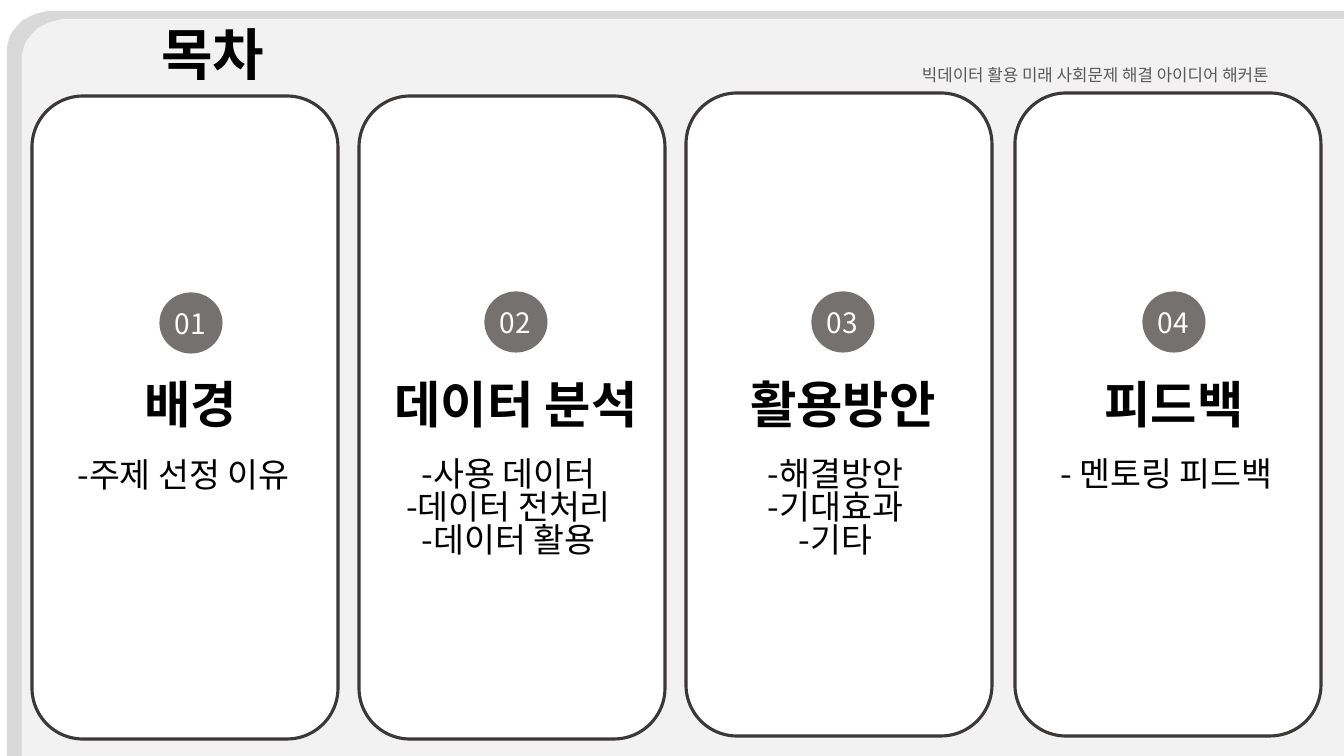
import math
from dataclasses import dataclass

import pptx
import pptx.dml.color
import pptx.enum.shapes
import pptx.enum.text
import pptx.oxml.ns
import pptx.util

WIDTH, HEIGHT = 1344, 756
EMU_PER_PX = 12192000 / WIDTH
ALIGN = pptx.enum.text.PP_ALIGN
SHAPES = pptx.enum.shapes.MSO_SHAPE


@dataclass(frozen=True)
class Theme:
    font: str = "Noto Sans CJK KR"
    black: str = "000000"
    white: str = "FFFFFF"
    caption: str = "595959"
    frame_edge: str = "D9D9D9"
    frame_fill: str = "F2F2F2"
    panel_line: str = "3B3838"
    badge: str = "767171"
    title_size: int = 40
    heading_size: int = 36
    list_size: int = 24
    number_size: int = 20
    caption_size: int = 12
    line_width: float = 2.25
    line_spacing: float = 0.82


def px(length):
    return pptx.util.Emu(round(length * EMU_PER_PX))


def rgb(value):
    return pptx.dml.color.RGBColor.from_string(value)


class AgendaSlide:
    """Draws the elements of an agenda slide in one theme."""

    def __init__(self, slide, theme):
        self.slide = slide
        self.theme = theme

    def paint(self, shape, fill, line=None):
        shape.shadow.inherit = False
        shape.fill.solid()
        shape.fill.fore_color.rgb = rgb(fill)
        if line:
            shape.line.color.rgb = rgb(line)
            shape.line.width = pptx.util.Pt(self.theme.line_width)
        else:
            shape.line.fill.background()

    def frame(self, left, top, radius_x, radius_y, fill):
        steps = 16
        angles = [math.pi / 2 * step / steps for step in range(steps + 1)]
        corner = [(left + radius_x * (1 - math.cos(angle)),
                   top + radius_y * (1 - math.sin(angle))) for angle in angles]
        builder = self.slide.shapes.build_freeform(left, HEIGHT, scale=EMU_PER_PX)
        builder.add_line_segments(corner + [(WIDTH, top), (WIDTH, HEIGHT)])
        self.paint(builder.convert_to_shape(), fill)

    def shape(self, kind, left, top, width, height, fill, line):
        shape = self.slide.shapes.add_shape(
            kind, px(left), px(top), px(width), px(height))
        self.paint(shape, fill, line)

    def set_text(self, shape, lines, size, color, bold=False, align=ALIGN.CENTER):
        frame = shape.text_frame
        frame.word_wrap = True
        frame.auto_size = pptx.enum.text.MSO_AUTO_SIZE.NONE
        frame.vertical_anchor = pptx.enum.text.MSO_ANCHOR.TOP
        frame.text = "\n".join(lines)
        for paragraph in frame.paragraphs:
            paragraph.alignment = align
            paragraph.line_spacing = self.theme.line_spacing
            paragraph.space_before = pptx.util.Pt(0)
            paragraph.font.size = pptx.util.Pt(size)
            paragraph.font.bold = bold
            paragraph.font.color.rgb = rgb(color)
            paragraph.font.name = self.theme.font
            properties = paragraph.font._element
            properties.find(pptx.oxml.ns.qn("a:latin")).addnext(
                properties.makeelement(pptx.oxml.ns.qn("a:ea"),
                                       {"typeface": self.theme.font}))

    def text(self, left, top, width, height, line, size, color, **style):
        box = self.slide.shapes.add_textbox(
            px(left), px(top), px(width), px(height))
        self.set_text(box, [line], size, color, **style)

    def placeholder(self, shape, left, top, width, height, lines, size, **style):
        shape.left, shape.top = px(left), px(top)
        shape.width, shape.height = px(width), px(height)
        self.set_text(shape, lines, size, self.theme.black, **style)
        for paragraph in shape.text_frame.paragraphs:
            properties = paragraph._p.get_or_add_pPr()
            properties.set("marL", "0")
            properties.set("indent", "0")
            properties.find(pptx.oxml.ns.qn("a:spcBef")).addnext(
                properties.makeelement(pptx.oxml.ns.qn("a:buNone"), {}))
        self.slide.shapes._spTree.append(shape._element)

    def section(self, body, number, badge_left, badge_top, heading, items):
        theme = self.theme
        self.shape(SHAPES.OVAL, badge_left, badge_top, 60, 58,
                   theme.badge, theme.badge)
        self.text(badge_left + 4, badge_top + 13, 100, 44, f"{number:02}",
                  theme.number_size, theme.white, align=ALIGN.LEFT)
        self.text(badge_left - 147, 379, 354, 72, heading,
                  theme.heading_size, theme.black, bold=True)
        self.placeholder(body, badge_left - 170, badge_top + 162, 385, 132,
                         items, theme.list_size)


SECTIONS = [
    (32, 96, 161, 294, "배경", ["-주제 선정 이유"]),
    (359, 96, 486, 293, "데이터 분석",
     ["-사용 데이터", "-데이터 전처리", "-데이터 활용"]),
    (686, 93, 813, 293, "활용방안", ["-해결방안", "-기대효과", "-기타"]),
    (1015, 93, 1144, 293, "피드백", ["- 멘토링 피드백"]),
]


def main():
    presentation = pptx.Presentation()
    presentation.slide_width, presentation.slide_height = px(WIDTH), px(HEIGHT)
    slide = presentation.slides.add_slide(
        presentation.slide_layouts.get_by_name("Comparison"))
    title, *bodies = list(slide.placeholders)
    theme = Theme()
    agenda = AgendaSlide(slide, theme)

    agenda.frame(7, 11, 45, 40, theme.frame_edge)
    agenda.frame(22, 19, 45, 40, theme.frame_fill)
    agenda.placeholder(title, 142, 26, 142, 78, ["목차"],
                       theme.title_size, bold=True)
    agenda.text(912, 63, 420, 30, "빅데이터 활용 미래 사회문제 해결 아이디어 해커톤",
                theme.caption_size, theme.caption, align=ALIGN.LEFT)
    for left, top, *_ in SECTIONS:
        agenda.shape(SHAPES.ROUNDED_RECTANGLE, left, top, 306, 643,
                     theme.white, theme.panel_line)
    for number, (body, section) in enumerate(zip(bodies, SECTIONS), start=1):
        agenda.section(body, number, *section[2:])
    presentation.save("out.pptx")


if __name__ == "__main__":
    main()
